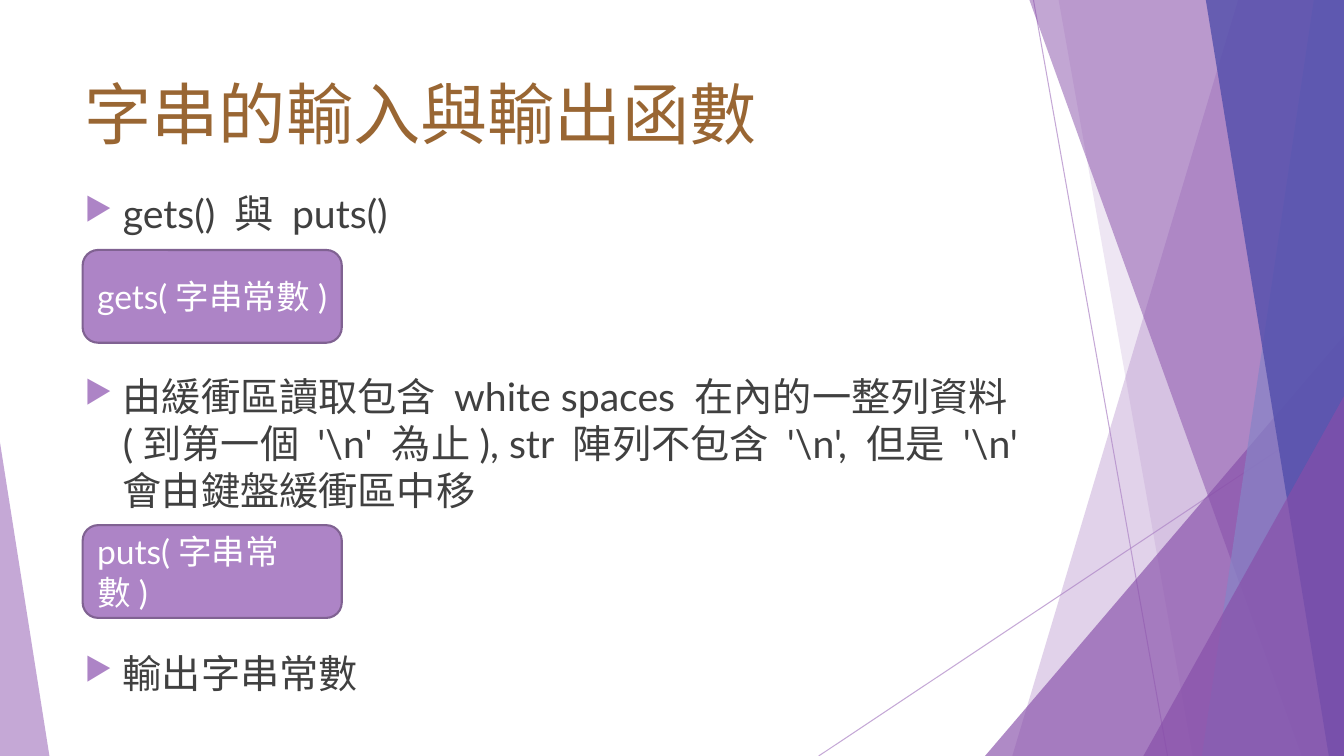
from dataclasses import dataclass

from pptx import Presentation
from pptx.dml.color import RGBColor
from pptx.enum.shapes import MSO_CONNECTOR, MSO_SHAPE
from pptx.enum.text import MSO_ANCHOR, PP_ALIGN
from pptx.oxml.ns import qn
from pptx.util import Inches, Pt
from lxml import etree

STRAIGHT = MSO_CONNECTOR.STRAIGHT
TRIANGLE = MSO_SHAPE.ISOSCELES_TRIANGLE
ROUNDED = MSO_SHAPE.ROUNDED_RECTANGLE
MIDDLE = MSO_ANCHOR.MIDDLE
LEFT = PP_ALIGN.LEFT

WIDTH, HEIGHT = 13.33, 7.5
LILAC, PURPLE, BLUE, INDIGO = "AD84C6", "874EA9", "8784C7", "524EAB"
BROWN, GREY, PLUM, WHITE = "996633", "404040", "806292", "FFFFFF"
LATIN, MONO = "Lato", "Courier New"


@dataclass
class Ray:
    start: tuple[float, float]
    end: tuple[float, float]


@dataclass
class Panel:
    """Band from a slanted left edge to the right side of the slide."""
    top: float
    bottom: float
    color: str
    alpha: int


@dataclass
class Wedge:
    """Triangle standing on the bottom edge of the slide."""
    left: float
    top: float
    width: float
    peak: float
    color: str
    alpha: int


@dataclass
class Call:
    name: str
    top: float


RAYS = [Ray((10.25, 0), (11.58, HEIGHT)), Ray((WIDTH, 4.03), (8.12, HEIGHT))]
DECOR = [
    Panel(12.28, 10.04, LILAC, 36),
    Panel(10.5, 11.83, LILAC, 20),
    Wedge(9.77, 3.33, 3.56, 1, PURPLE, 66),
    Panel(10.21, 12.91, PURPLE, 50),
    Panel(13.03, 11.92, BLUE, 70),
    Panel(11.96, 13.18, INDIGO, 80),
    Wedge(11.34, 3.93, 1.99, 1, PURPLE, 66),
    Wedge(0, 4.39, 0.49, 0, LILAC, 70),
]
POINTS = [
    "gets() 與 puts()",
    "由緩衝區讀取包含 white spaces 在內的一整列資料 (到第一個 '\\n' 為止), "
    "str 陣列不包含 '\\n', 但是 '\\n' 會由鍵盤緩衝區中移",
    "輸出字串常數",
]
CALLS = [Call("gets", 2.48), Call("puts", 5.21)]


def rgb(color: str) -> RGBColor:
    return RGBColor.from_string(color)


def fade(parent, alpha: int) -> None:
    """Make every colour below parent partly transparent."""
    for color in parent.iter(qn("a:srgbClr")):
        etree.SubElement(color, qn("a:alpha"), val=str(alpha * 1000))


def style(run, size: int, color: str, font: str = LATIN) -> None:
    run.font.size = Pt(size)
    run.font.name = font
    run.font.color.rgb = rgb(color)


def draw_ray(slide, ray: Ray) -> None:
    ends = [Inches(v) for v in ray.start + ray.end]
    line = slide.shapes.add_connector(STRAIGHT, *ends)
    line.line.color.rgb = rgb(LILAC)
    line.line.width = Pt(0.75)
    props = line._element.spPr
    fade(props, 70)
    etree.SubElement(props, qn("a:effectLst"))


def draw_decor(slide, item: Panel | Wedge) -> None:
    if isinstance(item, Panel):
        path = slide.shapes.build_freeform(Inches(item.top), 0)
        corners = [(WIDTH, 0), (WIDTH, HEIGHT), (item.bottom, HEIGHT)]
        path.add_line_segments([(Inches(x), Inches(y)) for x, y in corners])
        shape = path.convert_to_shape()
    else:
        shape = slide.shapes.add_shape(
            TRIANGLE, Inches(item.left), Inches(item.top),
            Inches(item.width), Inches(HEIGHT - item.top))
        shape.adjustments[0] = item.peak
    shape.shadow.inherit = False
    shape.fill.solid()
    shape.fill.fore_color.rgb = rgb(item.color)
    shape.line.fill.background()
    fade(shape._element.spPr, item.alpha)


def add_text(slide, top: float, height: float):
    box = slide.shapes.add_textbox(
        Inches(0.74), Inches(top), Inches(10), Inches(height))
    box.text_frame.word_wrap = True
    return box.text_frame


def add_bullet(para) -> None:
    props = para._p.get_or_add_pPr()
    props.set("marL", str(Inches(0.38)))
    props.set("indent", str(-Inches(0.38)))
    color = etree.SubElement(props, qn("a:buClr"))
    etree.SubElement(color, qn("a:srgbClr"), val=LILAC)
    etree.SubElement(props, qn("a:buSzPct"), val="80000")
    etree.SubElement(props, qn("a:buChar"), char="▶")


def draw_title(slide) -> None:
    para = add_text(slide, 0.67, 0.83).paragraphs[0]
    para.text = "字串的輸入與輸出函數"
    style(para.runs[0], 48, BROWN)


def draw_points(slide) -> None:
    frame = add_text(slide, 1.83, 5.6)
    frame.text = "\n".join(POINTS)
    for i, para in enumerate(frame.paragraphs):
        para.space_before = Pt(97 if i else 10)
        add_bullet(para)
        style(para.runs[0], 28, GREY)


def draw_call(slide, call: Call) -> None:
    box = slide.shapes.add_shape(
        ROUNDED, Inches(0.82), Inches(call.top), Inches(2.57), Inches(0.92))
    box.shadow.inherit = False
    box.fill.solid()
    box.fill.fore_color.rgb = rgb(LILAC)
    box.line.color.rgb = rgb(PLUM)
    box.line.width = Pt(1.5)
    frame = box.text_frame
    frame.word_wrap = True
    frame.vertical_anchor = MIDDLE
    para = frame.paragraphs[0]
    para.alignment = LEFT
    parts = [(call.name + "(", LATIN), ("字串常數", MONO), (")", LATIN)]
    for text, font in parts:
        run = para.add_run()
        run.text = text
        style(run, 24, WHITE, font)


def main() -> None:
    deck = Presentation()
    deck.slide_width, deck.slide_height = Inches(WIDTH), Inches(HEIGHT)
    slide = deck.slides.add_slide(deck.slide_layouts[6])
    for ray in RAYS:
        draw_ray(slide, ray)
    for item in DECOR:
        draw_decor(slide, item)
    draw_title(slide)
    draw_points(slide)
    for call in CALLS:
        draw_call(slide, call)
    deck.save("out.pptx")


if __name__ == "__main__":
    main()
